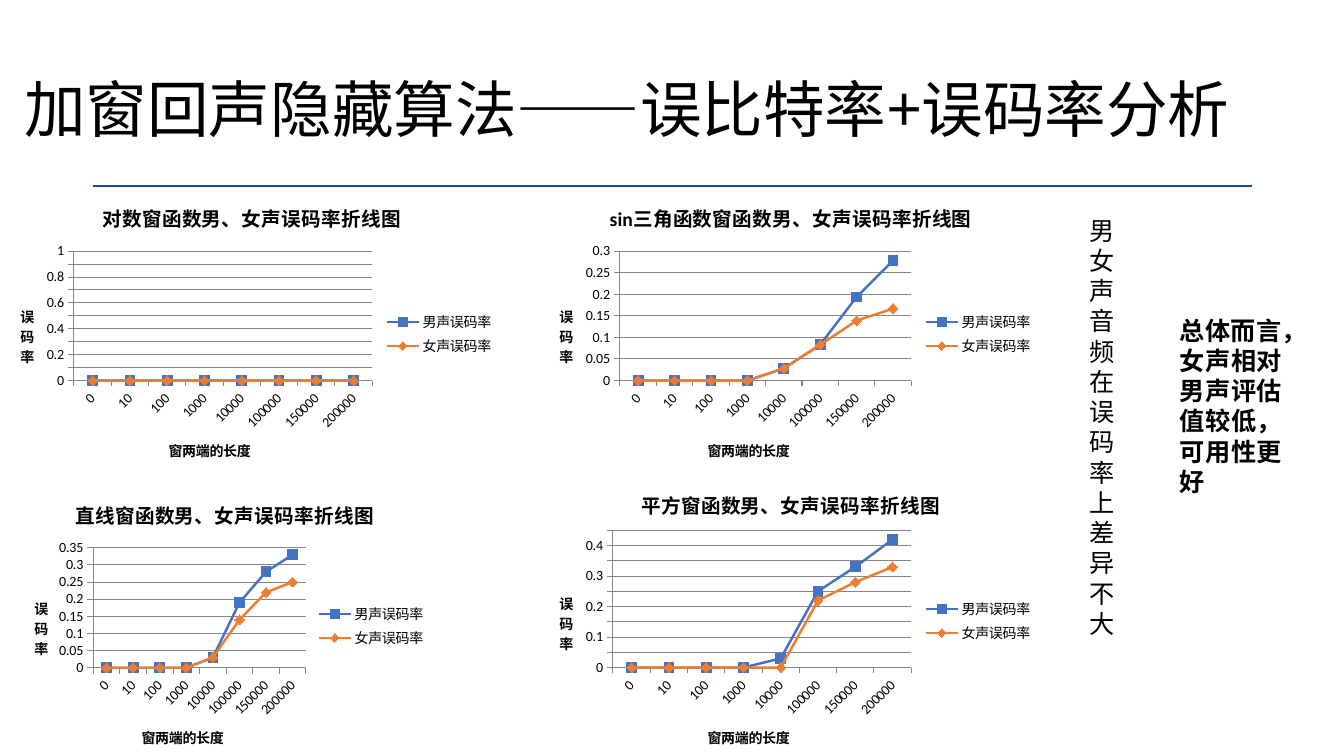
from typing import NamedTuple

from lxml.etree import SubElement
from pptx import Presentation
from pptx.chart.data import CategoryChartData
from pptx.dml.color import RGBColor
from pptx.enum.chart import XL_CHART_TYPE, XL_LEGEND_POSITION, XL_MARKER_STYLE, XL_TICK_MARK
from pptx.enum.shapes import MSO_CONNECTOR
from pptx.enum.text import MSO_ANCHOR, MSO_AUTO_SIZE, PP_ALIGN
from pptx.oxml.ns import qn
from pptx.util import Emu, Pt

BLACK = RGBColor(0, 0, 0)
NAVY = RGBColor(0x20, 0x48, 0x88)
BLUE = RGBColor(0x44, 0x72, 0xC4)
ORANGE = RGBColor(0xED, 0x7D, 0x31)
GRAY = RGBColor(0x86, 0x86, 0x86)
NOTO = "Noto Sans CJK SC"
TIMES = "Times New Roman"
CATS = ["0", "10", "100", "1000", "10000", "100000", "150000", "200000"]
STEP = 0.05


class Box(NamedTuple):
    left: int
    top: int
    width: int
    height: int


class Voice(NamedTuple):
    name: str
    color: RGBColor
    mark: XL_MARKER_STYLE


class Graph(NamedTuple):
    title: str
    box: Box
    top: float
    step: float
    male: list[float]
    female: list[float]


class Note(NamedTuple):
    box: Box
    words: list[tuple[str, str]]
    bold: bool


VOICES = [
    Voice("男声误码率", BLUE, XL_MARKER_STYLE.SQUARE),
    Voice("女声误码率", ORANGE, XL_MARKER_STYLE.DIAMOND),
]
GRAPHS = [
    Graph("对数窗函数男、女声误码率折线图", Box(0, 186, 504, 296), 1, 0.1,
          [0] * 8, [0] * 8),
    Graph("sin三角函数窗函数男、女声误码率折线图", Box(539, 186, 504, 296), 0.3, STEP,
          [0, 0, 0, 0, 0.028, 0.083, 0.194, 0.278],
          [0, 0, 0, 0, 0.028, 0.083, 0.139, 0.167]),
    Graph("直线窗函数男、女声误码率折线图", Box(14, 483, 422, 286), 0.35, STEP,
          [0, 0, 0, 0, 0.03, 0.19, 0.28, 0.33],
          [0, 0, 0, 0, 0.03, 0.14, 0.22, 0.25]),
    Graph("平方窗函数男、女声误码率折线图", Box(539, 473, 504, 296), 0.45, STEP,
          [0, 0, 0, 0, 0.03, 0.25, 0.33, 0.42],
          [0, 0, 0, 0, 0, 0.22, 0.28, 0.33]),
]
NOTES = [
    Note(Box(1080, 210, 39, 437),
         [("男女声音频在", NOTO), ("误码率", TIMES), ("上差异不大", NOTO)], False),
    Note(Box(1170, 310, 122, 194),
         [("总体而言，女声相对男声评估值较低，可用性更好", NOTO)], True),
]


def px(count: int) -> Emu:
    return Emu(round(count * 914400 / 100.8))


def place(box: Box) -> list[Emu]:
    return [px(side) for side in box]


def style(font, size: int, face: str = "Calibri", bold: bool = False) -> None:
    font.size, font.name, font.bold = Pt(size), face, bold
    font.color.rgb = BLACK


def ink(run, size: int, face: str, bold: bool = False) -> None:
    style(run.font, size, face, bold)
    SubElement(run.font._element, qn("a:ea"), typeface=NOTO)


def label(owner, text: str, size: int) -> None:
    """Give a chart or an axis its bold title."""
    frame = owner.text_frame
    frame.text = text
    style(frame.paragraphs[0].runs[0].font, size, bold=True)


def add_graph(slide, graph: Graph) -> None:
    data = CategoryChartData()
    data.categories = CATS
    for voice, vals in zip(VOICES, (graph.male, graph.female)):
        data.add_series(voice.name, vals)
    chart = slide.shapes.add_chart(
        XL_CHART_TYPE.LINE_MARKERS, *place(graph.box), data).chart
    style(chart.font, 10)
    label(chart.chart_title, graph.title, 14)
    chart.chart_title.include_in_layout = False
    chart.has_legend = True
    chart.legend.position = XL_LEGEND_POSITION.RIGHT
    chart.legend.include_in_layout = False
    style(chart.legend.font, 10)

    # Axes
    base, side = chart.category_axis, chart.value_axis
    for axis, name in ((base, "窗两端的长度"), (side, "误码率")):
        label(axis.axis_title, name, 10)
        style(axis.tick_labels.font, 10)
        axis.major_tick_mark = XL_TICK_MARK.OUTSIDE
        axis.format.line.color.rgb = GRAY
    base._element.txPr.find(qn("a:bodyPr")).set("rot", "-2700000")
    body = side.axis_title.text_frame._txBody.find(qn("a:bodyPr"))
    body.set("rot", "0")
    body.set("vert", "wordArtVert")
    side.minimum_scale, side.maximum_scale = 0, graph.top
    side.major_unit = graph.step
    side.tick_labels.number_format = "General"
    side.tick_labels.number_format_is_linked = False
    side.major_gridlines.format.line.color.rgb = GRAY

    # Series
    for line, voice in zip(chart.plots[0].series, VOICES):
        line.smooth = False
        line.format.line.color.rgb = voice.color
        line.format.line.width = Pt(1.75)
        line.marker.style, line.marker.size = voice.mark, 7
        line.marker.format.fill.solid()
        line.marker.format.fill.fore_color.rgb = voice.color
        line.marker.format.line.color.rgb = voice.color


def add_note(slide, note: Note) -> None:
    frame = slide.shapes.add_textbox(*place(note.box)).text_frame
    frame.word_wrap = True
    frame.auto_size = MSO_AUTO_SIZE.SHAPE_TO_FIT_TEXT
    para = frame.paragraphs[0]
    para.alignment = PP_ALIGN.JUSTIFY
    for text, face in note.words:
        run = para.add_run()
        run.text = text
        ink(run, 18, face, note.bold)


def add_title(slide) -> None:
    title = slide.shapes.title
    title.left, title.top, title.width, title.height = place(Box(14, 40, 1307, 146))
    frame = title.text_frame
    frame.text = "加窗回声隐藏算法——误比特率+误码率分析"
    frame.word_wrap = True
    frame.auto_size = MSO_AUTO_SIZE.NONE
    frame.vertical_anchor = MSO_ANCHOR.MIDDLE
    para = frame.paragraphs[0]
    para.alignment, para.line_spacing = PP_ALIGN.LEFT, 0.9
    ink(para.runs[0], 44, NOTO)


def add_rule(slide) -> None:
    rule = slide.shapes.add_connector(
        MSO_CONNECTOR.STRAIGHT, px(93), px(186), px(1252), px(186))
    rule.line.color.rgb, rule.line.width = NAVY, Pt(2)
    SubElement(rule._element.spPr, qn("a:effectLst"))


deck = Presentation()
deck.slide_width, deck.slide_height = px(1344), px(756)
page = deck.slides.add_slide(deck.slide_layouts[5])

# Heading
add_title(page)
add_rule(page)

# Charts and remarks
for graph in GRAPHS:
    add_graph(page, graph)
for note in NOTES:
    add_note(page, note)

deck.save("out.pptx")
